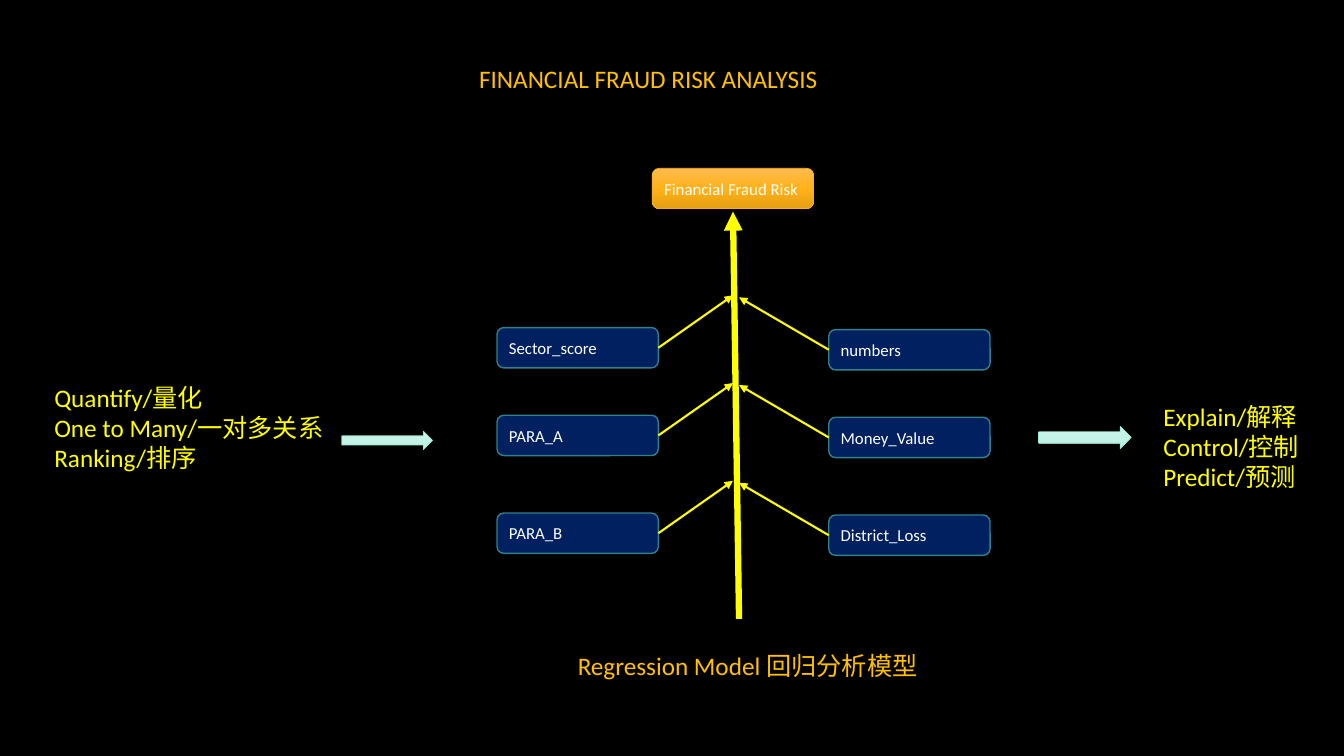
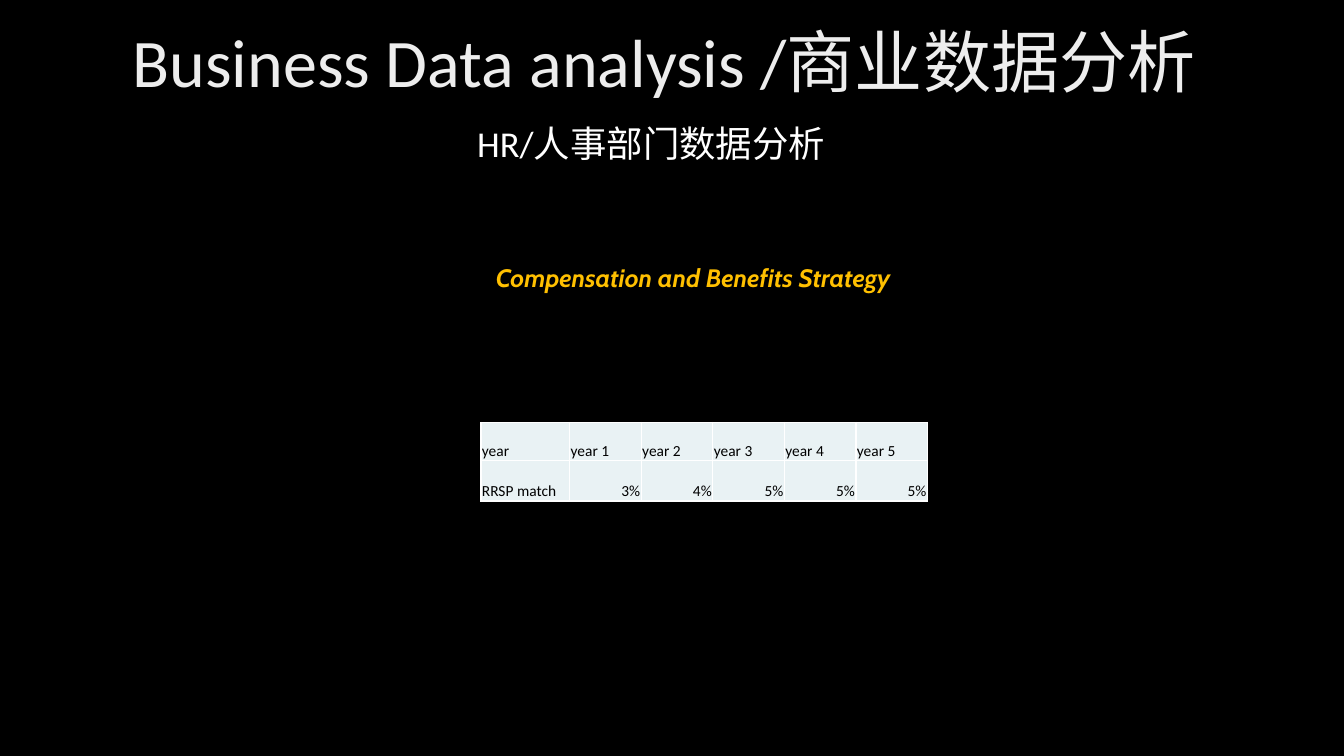
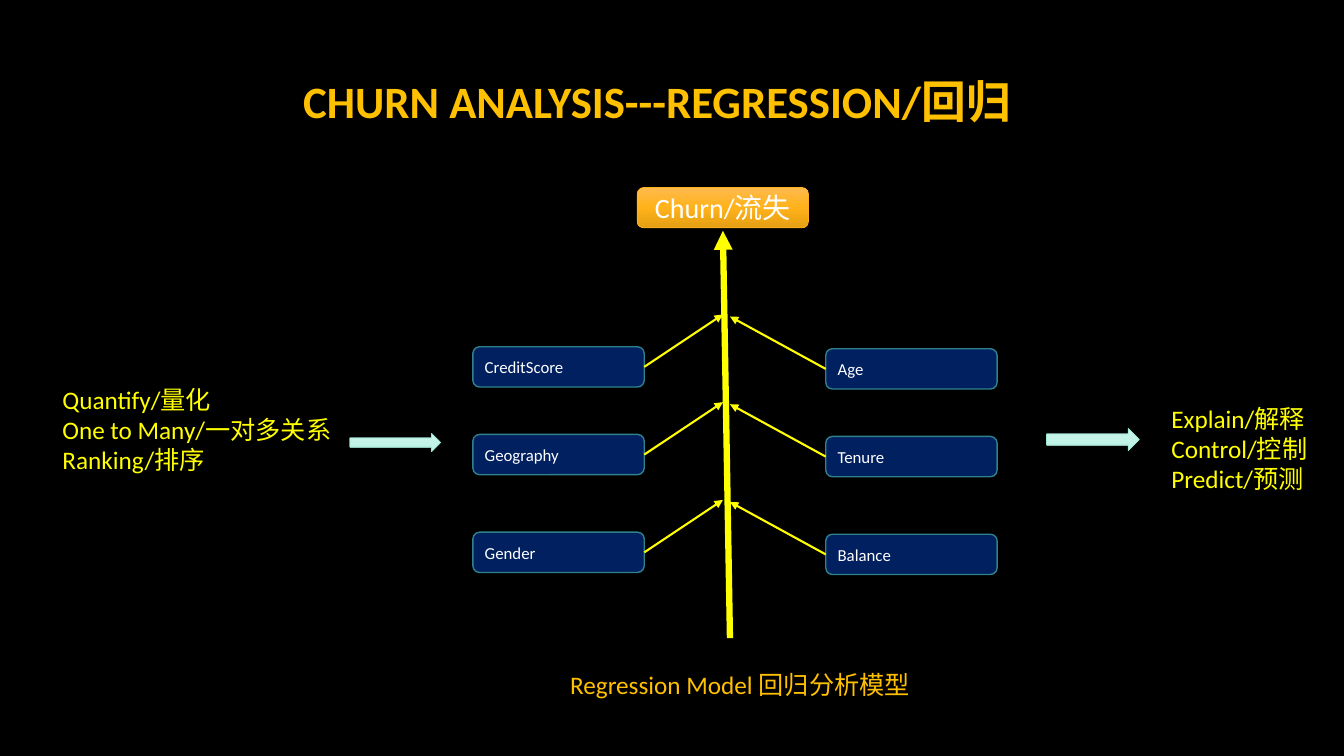
from copy import deepcopy

from lxml.etree import SubElement
from pptx import Presentation
from pptx.dml.color import RGBColor
from pptx.enum.shapes import MSO_CONNECTOR, MSO_SHAPE as SHAPE
from pptx.enum.text import MSO_ANCHOR as ANCHOR, MSO_AUTO_SIZE, PP_ALIGN as ALIGN
from pptx.oxml.ns import qn
from pptx.util import Inches, Pt

BLACK = RGBColor(0x00, 0x00, 0x00)
WHITE = RGBColor(0xFF, 0xFF, 0xFF)
SILVER = RGBColor(0xED, 0xED, 0xED)
GOLD = RGBColor(0xFF, 0xC0, 0x00)
YELLOW = RGBColor(0xFF, 0xFF, 0x00)
NAVY = RGBColor(0x00, 0x20, 0x60)
TEAL = RGBColor(0x30, 0x81, 0x8C)
ORANGE_EDGE = RGBColor(0xFC, 0xB1, 0x1C)
MINT_EDGE = RGBColor(0x97, 0xE9, 0xD5)
CELL_FILL = RGBColor(0xE9, 0xF2, 0xF4)
ORANGES = [RGBColor(0xFF, 0xBA, 0x4F), RGBColor(0xFF, 0xB2, 0x19), RGBColor(0xE5, 0x9F, 0x14)]
MINTS = [RGBColor(0xD1, 0xF6, 0xEC), RGBColor(0xC3, 0xF2, 0xE6), RGBColor(0xBA, 0xF3, 0xE4)]


def write(shape, box, lines, size, color, align=ALIGN.CENTER, anchor=ANCHOR.MIDDLE, **font):
    """Place a shape at box (inches) and fill it with one paragraph per line."""
    shape.left, shape.top, shape.width, shape.height = map(Inches, box)
    frame = shape.text_frame
    frame.word_wrap = True
    frame.auto_size = MSO_AUTO_SIZE.NONE
    frame.vertical_anchor = anchor
    frame.text = "\n".join(lines)
    look = {"name": "Calibri", "size": Pt(size), **font}
    for paragraph in frame.paragraphs:
        paragraph.alignment = align
        paragraph.font.color.rgb = color
        for key, value in look.items():
            setattr(paragraph.font, key, value)


def add_block(slide, kind, box, fills, edge, edge_width):
    """Add a preset shape; several fills make a vertical gradient."""
    block = slide.shapes.add_shape(kind, *map(Inches, box))
    block.shadow.inherit = False
    if len(fills) == 1:
        block.fill.solid()
        block.fill.fore_color.rgb = fills[0]
    else:
        block.fill.gradient()
        block.fill.gradient_angle = 270
        stops = block._element.spPr.find(".//" + qn("a:gsLst"))
        stops.append(deepcopy(stops[-1]))
        for i, (stop, color) in enumerate(zip(block.fill.gradient_stops, fills)):
            stop.position = i / 2
            stop.color.rgb = color
    block.line.color.rgb = edge
    block.line.width = Pt(edge_width)
    return block


prs = Presentation()
prs.slide_width, prs.slide_height = Inches(13.33), Inches(7.5)
background = prs.slide_master.background.fill
background.solid()
background.fore_color.rgb = BLACK
title_only = prs.slide_layouts[5]
fraud_slide, hr_slide, churn_slide = [prs.slides.add_slide(title_only) for _ in range(3)]

# Titles
write(fraud_slide.shapes.title, (0.89, 0.46, 11.08, 0.64),
      ["FINANCIAL FRAUD RISK ANALYSIS"], 18, GOLD)
write(hr_slide.shapes.title, (0.82, 0.1, 11.53, 1),
      ["Business Data analysis /商业数据分析"], 48.6, SILVER)
write(churn_slide.shapes.title, (2.77, 0.5, 7.5, 1),
      ["CHURN ANALYSIS---REGRESSION/回归"], 32, GOLD, bold=True)

# Regression diagrams: factors feed a spine that leads to the outcome
diagrams = [
    {"slide": fraud_slide, "outcome": "Financial Fraud Risk", "size": 12, "align": ALIGN.LEFT,
     "left": ["Sector_score", "PARA_A", "PARA_B"],
     "right": ["numbers", "Money_Value", "District_Loss"],
     "left_x": 4.93, "right_x": 8.22, "width": 1.6, "tip_x": 7.27, "base_x": 7.33,
     "caption": (5.02, 4.79), "drop": 0, "note_dx": 0, "note_dy": 0},
    {"slide": churn_slide, "outcome": "Churn/流失", "size": 20, "align": ALIGN.CENTER,
     "left": ["CreditScore", "Geography", "Gender"],
     "right": ["Age", "Tenure", "Balance"],
     "left_x": 4.69, "right_x": 8.19, "width": 1.7, "tip_x": 7.17, "base_x": 7.24,
     "caption": (4.79, 5.1), "drop": 0.19, "note_dx": 0.08, "note_dy": 0.02},
]
FACTOR_TOPS = [3.25, 4.12, 5.09]
FACTOR_HEIGHT = 0.4

for d in diagrams:
    slide, drop, width = d["slide"], d["drop"], d["width"]
    tip_x, base_x = d["tip_x"], d["base_x"]

    caption_x, caption_width = d["caption"]
    write(slide.shapes.add_textbox(0, 0, 0, 0), (caption_x, 6.4 + drop, caption_width, 0.4),
          ["Regression Model 回归分析模型"], 18, GOLD, anchor=ANCHOR.TOP)

    arrows = [(base_x, 6.14 + drop, tip_x, 2.1 + drop, 4.5)]
    sides = [(d["left"], d["left_x"], d["left_x"] + width, tip_x, 0),
             (d["right"], d["right_x"], d["right_x"], base_x, 0.02)]
    for factors, x, start_x, end_x, shift in sides:
        for factor, factor_top in zip(factors, FACTOR_TOPS):
            top = factor_top + drop + shift
            box = (x, top, width, FACTOR_HEIGHT)
            block = add_block(slide, SHAPE.ROUNDED_RECTANGLE, box, [NAVY], TEAL, 1)
            write(block, box, [factor], 12, WHITE, ALIGN.LEFT)
            arrows.append((start_x, top + FACTOR_HEIGHT / 2, end_x, top - 0.32, 1.5))

    for x1, y1, x2, y2, weight in arrows:
        arrow = slide.shapes.add_connector(MSO_CONNECTOR.STRAIGHT, *map(Inches, (x1, y1, x2, y2)))
        arrow.line.color.rgb = YELLOW
        arrow.line.width = Pt(weight)
        properties = arrow._element.spPr
        SubElement(properties.find(qn("a:ln")), qn("a:tailEnd"), type="triangle")
        SubElement(properties, qn("a:effectLst"))

    box = (tip_x - width / 2, 1.67 + drop, width, FACTOR_HEIGHT)
    outcome = add_block(slide, SHAPE.ROUNDED_RECTANGLE, box, ORANGES, ORANGE_EDGE, 0.5)
    write(outcome, box, [d["outcome"]], d["size"], WHITE, d["align"])

    dx, dy = d["note_dx"], d["note_dy"]
    notes = [
        ((0.44, 3.74, 3.08, 1.01), ["Quantify/量化", "One to Many/一对多关系", "Ranking/排序"],
         (3.39, 4.28, 0.9, 0.18)),
        ((11.44, 3.93, 1.75, 1.01), ["Explain/解释", "Control/控制", "Predict/预测"],
         (10.3, 4.23, 0.92, 0.22)),
    ]
    for (x, y, w, h), lines, (arrow_x, arrow_y, arrow_w, arrow_h) in notes:
        write(slide.shapes.add_textbox(0, 0, 0, 0), (x + dx, y + dy, w, h),
              lines, 18, YELLOW, ALIGN.LEFT, ANCHOR.TOP)
        add_block(slide, SHAPE.RIGHT_ARROW, (arrow_x + dx, arrow_y + dy, arrow_w, arrow_h),
                  MINTS, MINT_EDGE, 0.5)

# HR slide
write(hr_slide.shapes.add_textbox(0, 0, 0, 0), (0.92, 1.1, 11.08, 0.64),
      ["HR/人事部门数据分析"], 26, WHITE)
write(hr_slide.shapes.add_textbox(0, 0, 0, 0), (3.99, 2.55, 5.77, 0.4),
      ["Compensation and Benefits Strategy"], 18, GOLD, anchor=ANCHOR.TOP,
      name="Cabin", bold=True, italic=True)

match_rows = [
    ["year", "year 1", "year 2", "year 3", "year 4", "year 5"],
    ["RRSP match", "3%", "4%", "5%", "5%", "5%"],
]
match_table = hr_slide.shapes.add_table(
    2, 6, Inches(4.77), Inches(4.19), Inches(4.45), Inches(0.78)).table
match_table.first_row = match_table.horz_banding = False
for i, column in enumerate(match_table.columns):
    column.width = Inches(0.71 if i else 0.88)
for row, height in zip(match_table.rows, [0.38, 0.4]):
    row.height = Inches(height)

for r, values in enumerate(match_rows):
    for c, value in enumerate(values):
        cell = match_table.cell(r, c)
        cell.text = value
        cell.vertical_anchor = ANCHOR.BOTTOM
        cell.margin_left = cell.margin_right = cell.margin_top = Inches(0.01)
        cell.margin_bottom = 0
        paragraph = cell.text_frame.paragraphs[0]
        paragraph.alignment = ALIGN.RIGHT if r and c else ALIGN.LEFT
        paragraph.font.name, paragraph.font.size = "Calibri", Pt(11)
        paragraph.font.color.rgb = BLACK
        properties = cell._tc.get_or_add_tcPr()
        for side in ("lnL", "lnR", "lnT", "lnB"):
            border = SubElement(properties, qn("a:" + side), w=str(Pt(1)))
            SubElement(SubElement(border, qn("a:solidFill")), qn("a:srgbClr"), val=str(WHITE))
        cell.fill.solid()
        cell.fill.fore_color.rgb = CELL_FILL

prs.save("out.pptx")
